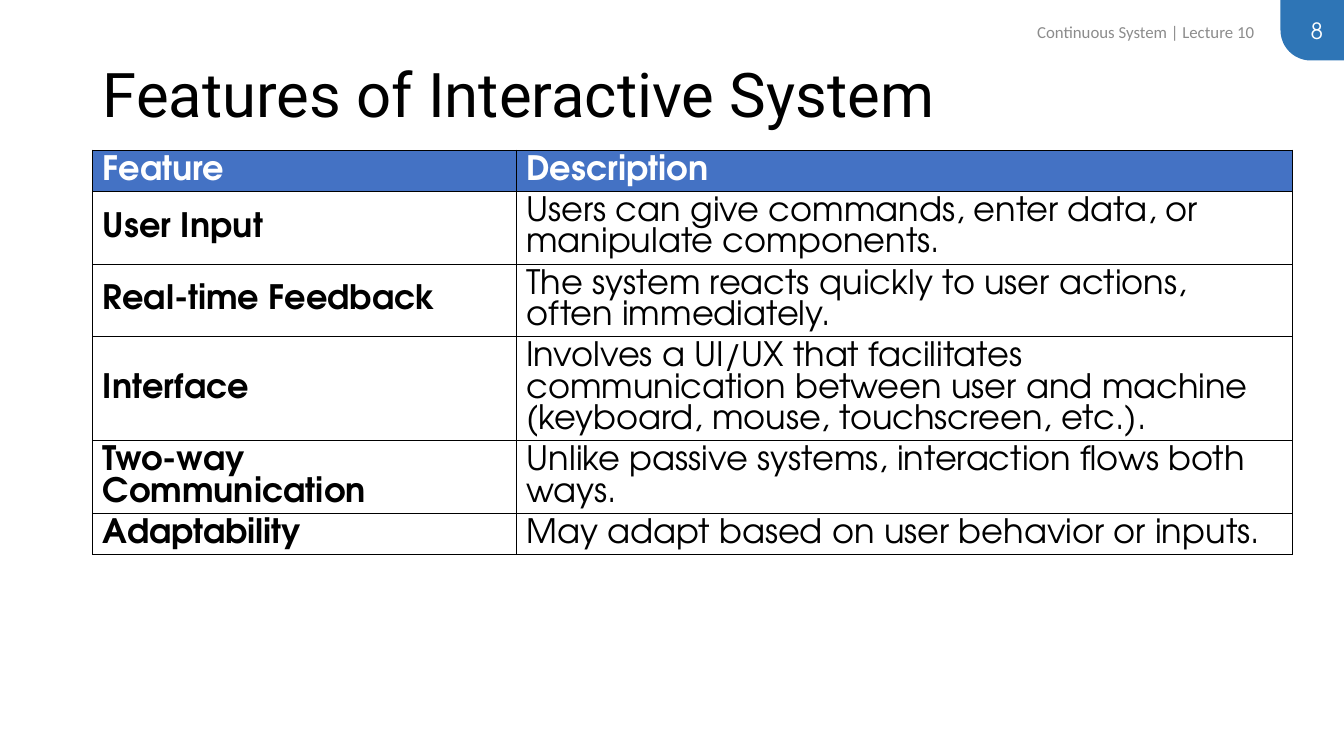
"""Build the slide on the features of an interactive system."""
from lxml import etree
from pptx import Presentation
from pptx.dml.color import RGBColor
from pptx.enum.shapes import MSO_SHAPE
from pptx.enum.text import MSO_ANCHOR, MSO_AUTO_SIZE, PP_ALIGN
from pptx.oxml.ns import qn
from pptx.util import Inches, Pt

LEFT, RIGHT = PP_ALIGN.LEFT, PP_ALIGN.RIGHT
MIDDLE = MSO_ANCHOR.MIDDLE
NO_AUTOFIT = MSO_AUTO_SIZE.NONE
TAB_SHAPE = MSO_SHAPE.ROUND_1_RECTANGLE
TITLE_ONLY = 5
GRID_UNIT = 0.1

COLORS = {
    "black": "000000",
    "white": "FFFFFF",
    "gray": "8C8C8C",
    "tab": "2E75B6",
    "header": "4472C4",
}
TITLE_FONT, BODY_FONT, LABEL_FONT = "Roboto", "TeX Gyre Adventor", "Calibri"

FEATURES = [
    ("Feature", "Description", 1),
    ("User Input", "Users can give commands, enter data, or manipulate components.", 2),
    ("Real-time Feedback", "The system reacts quickly to user actions, often immediately.", 2),
    ("Interface", "Involves a UI/UX that facilitates communication between user and machine "
                  "(keyboard, mouse, touchscreen, etc.).", 3),
    ("Two-way Communication", "Unlike passive systems, interaction flows both ways.", 2),
    ("Adaptability", "May adapt based on user behavior or inputs.", 1),
]


def grid(*units):
    return [Inches(unit * GRID_UNIT) for unit in units]


def color(name):
    return RGBColor.from_string(COLORS[name])


class SlideBuilder:
    def __init__(self, presentation):
        self.slide = presentation.slides.add_slide(presentation.slide_layouts[TITLE_ONLY])

    def set_text(self, text_frame, text, font_name, size, color_name, align=LEFT, bold=False):
        text_frame.text = text
        paragraph = text_frame.paragraphs[0]
        paragraph.alignment = align
        font = paragraph.runs[0].font
        font.name, font.size, font.bold = font_name, Pt(size), bold
        font.color.rgb = color(color_name)
        return paragraph

    def title(self, text, *box):
        shape = self.slide.shapes.title
        shape.left, shape.top, shape.width, shape.height = grid(*box)
        text_frame = shape.text_frame
        text_frame.auto_size = NO_AUTOFIT
        text_frame.vertical_anchor = MIDDLE
        self.set_text(text_frame, text, TITLE_FONT, 44, "black").line_spacing = 0.9

    def corner_tab(self, *box):
        shape = self.slide.shapes.add_shape(TAB_SHAPE, *grid(*box))
        shape.adjustments[0] = 0.5
        shape.rotation = 180
        shape.shadow.inherit = False
        shape.fill.solid()
        shape.fill.fore_color.rgb = color("tab")
        shape.line.fill.background()

    def label(self, text, font_name, size, color_name, *box):
        text_frame = self.slide.shapes.add_textbox(*grid(*box)).text_frame
        text_frame.word_wrap = True
        text_frame.vertical_anchor = MIDDLE
        self.set_text(text_frame, text, font_name, size, color_name, RIGHT)

    def border(self, cell):
        properties = cell._tc.get_or_add_tcPr()
        for side in ("a:lnL", "a:lnR", "a:lnT", "a:lnB"):
            line = etree.SubElement(properties, qn(side), w=str(Pt(1)))
            fill = etree.SubElement(line, qn("a:solidFill"))
            etree.SubElement(fill, qn("a:srgbClr"), val=COLORS["black"])

    def table(self, rows, left, top, column_widths, line_height, padding):
        heights = [lines * line_height + padding for *_, lines in rows]
        box = grid(left, top, sum(column_widths), sum(heights))
        table = self.slide.shapes.add_table(len(rows), len(column_widths), *box).table
        table.horz_banding = False
        for column, width in zip(table.columns, grid(*column_widths)):
            column.width = width
        for row, height in zip(table.rows, grid(*heights)):
            row.height = height
        for row_index, (*texts, _) in enumerate(rows):
            for column_index, text in enumerate(texts):
                self.cell(table.cell(row_index, column_index), text,
                          row_index == 0, column_index == 0)

    def cell(self, cell, text, is_header, is_feature):
        self.border(cell)
        cell.fill.solid()
        cell.fill.fore_color.rgb = color("header" if is_header else "white")
        cell.vertical_anchor = MIDDLE
        self.set_text(cell.text_frame, text, BODY_FONT, 24,
                      "white" if is_header else "black", bold=is_header or is_feature)


def main():
    presentation = Presentation()
    presentation.slide_width, presentation.slide_height = Inches(13.33), Inches(7.5)
    builder = SlideBuilder(presentation)
    builder.corner_tab(127, 0, 6.4, 6)
    builder.title("Features of Interactive System", 9.2, 4, 115, 11.4)
    builder.table(FEATURES, 9.2, 14.9, (42, 77), line_height=3.1, padding=1)
    builder.label("Continuous System | Lecture 10", LABEL_FONT, 12, "gray", 80.4, 1.2, 45, 4)
    builder.label("8", BODY_FONT, 16, "white", 125.8, 1, 6.4, 4)
    presentation.save("out.pptx")


if __name__ == "__main__":
    main()
